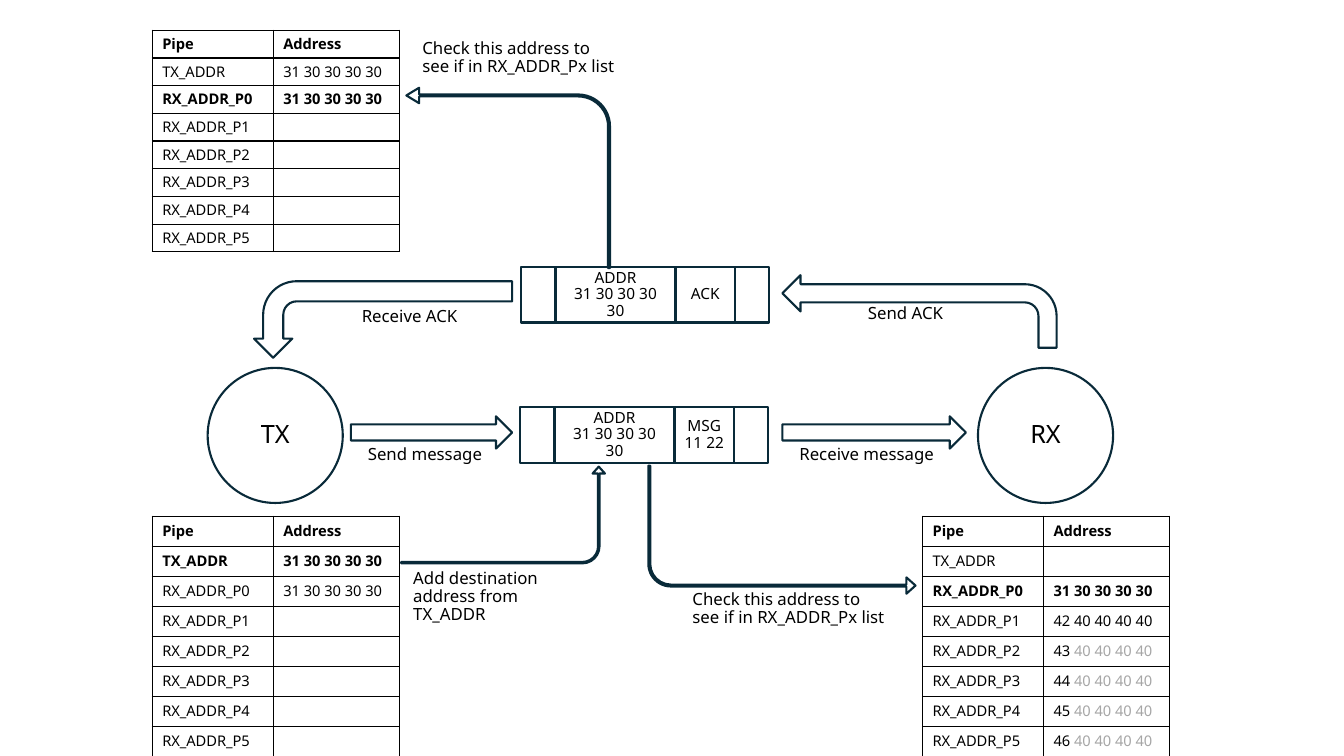
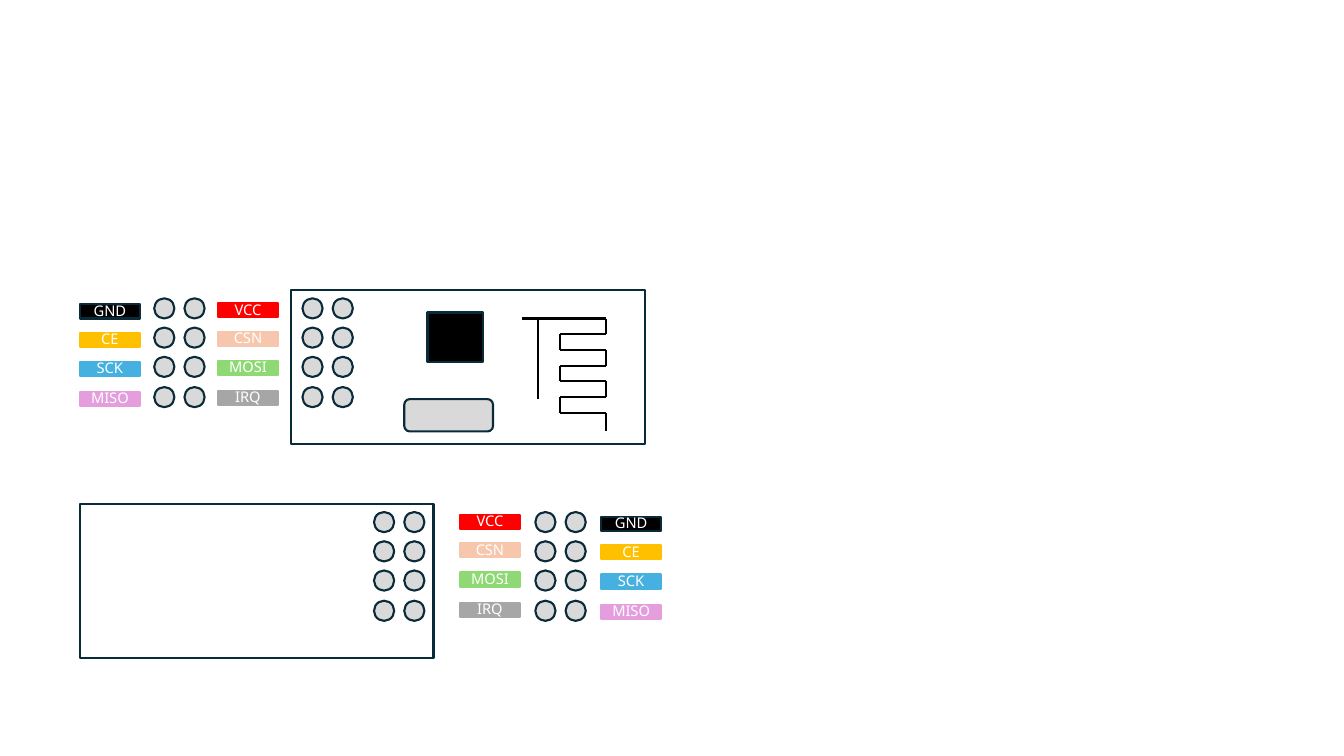
import itertools

import lxml.etree
import pptx
import pptx.dml.color
import pptx.enum.shapes
import pptx.enum.text
import pptx.oxml.ns
import pptx.util

RGB = pptx.dml.color.RGBColor
SHAPE = pptx.enum.shapes.MSO_SHAPE
ANCHOR = pptx.enum.text.MSO_ANCHOR
ALIGN = pptx.enum.text.PP_ALIGN
qn = pptx.oxml.ns.qn

INK = RGB(0x09, 0x2A, 0x39)
BLACK = RGB(0, 0, 0)
WHITE = RGB(0xFF, 0xFF, 0xFF)
SILVER = RGB(0xD9, 0xD9, 0xD9)
GREY = RGB(0xA6, 0xA6, 0xA6)
AMBER = RGB(0xFF, 0xC0, 0x00)
BLUE = RGB(0x46, 0xB1, 0xE1)
PINK = RGB(0xE5, 0x9E, 0xDD)
RED = RGB(0xFF, 0, 0)
PEACH = RGB(0xF6, 0xC6, 0xAD)
GREEN = RGB(0x8E, 0xD9, 0x73)

FONT = "Noto Sans"
LINE_SPACING = 0.88
EMU_PER_PX = 9144  # 100 px to the inch
SLIDE_SIZE = (1333, 750)

# Slide 1: address tables, packets and message flow
PIPES = ["TX_ADDR"] + [f"RX_ADDR_P{n}" for n in range(6)]
PIPE_COLUMNS = (120, 125)
ADDRESS = "31 30 30 30 30"
# left, top, height, bold pipe, addresses in pipe order ("|" starts grey text)
ADDRESS_TABLES = [
    (915, 512, 239, "RX_ADDR_P0",
     ["", ADDRESS, "42 40 40 40 40"] + [f"{n} |40 40 40 40" for n in range(43, 47)]),
    (151, 512, 239, "TX_ADDR", [ADDRESS, ADDRESS] + [""] * 5),
    (151, 30, 220, "RX_ADDR_P0", [ADDRESS, ADDRESS] + [""] * 5),
]
NODES = [("TX", 206), ("RX", 970)]
NODE_TOP, NODE_SIZE = 365, 134
PACKET_WIDTHS = (34, 119, 59, 34)
PACKET_HEIGHT = 55
PACKETS = [
    (516, 404, ("", f"ADDR\n{ADDRESS}", "MSG\n11 22", "")),
    (517, 265, ("", f"ADDR\n{ADDRESS}", "ACK", "")),
]
THIN_BEND = (0.015, 0.064, 0.071, 0.177)
# box, rotation, flip, adjustments
BENT_ARROWS = [
    ((342, 189, 76, 256), 90, "flipV", (0.263, 0.25, 0.25, 0.438)),
    ((451, 410, 96, 202), 270, "flipV", THIN_BEND),
    ((776, 273, 272, 72), 0, "flipH", (0.25, 0.25, 0.25, 0.438)),
    ((643, 462, 265, 127), 180, "flipH", THIN_BEND),
    ((403, 87, 202, 179), 180, "flipV", (0.011, 0.043, 0.071, 0.177)),
]
STRAIGHT_ARROWS = [(348, 413, 160, 32), (776, 413, 182, 32)]
CHECK = "Check this address to see if in RX_ADDR_Px list"
CAPTIONS = [
    ("Add destination address from TX_ADDR", (400, 561, 199, 50)),
    (CHECK, (677, 582, 214, 50)),
    (CHECK, (409, 35, 214, 50)),
    ("Receive message", (783, 438, 180, 30)),
    ("Receive ACK", (349, 301, 134, 30)),
    ("Send ACK", (851, 298, 134, 30)),
    ("Send message", (355, 438, 134, 30)),
]

# Slide 2: radio module, front and back
BOARD_SIZE = (351, 153)
BOARDS = [(289, 288), (79, 500)]
PIN_GRIDS = [(300, 296), (153, 296), (371, 508), (531, 508)]
PIN_SIZE, PIN_PITCH = 20, 30
PIN_ROWS = (0, 29, 58, 88)
LABEL_SIZE = (60, 14)
LABEL_ROWS = (0, 28, 57, 87)
OUTER_LABELS = [("GND", BLACK), ("CE", AMBER), ("SCK", BLUE), ("MISO", PINK)]
INNER_LABELS = [("VCC", RED), ("CSN", PEACH), ("MOSI", GREEN), ("IRQ", GREY)]
LABEL_COLUMNS = [
    (79, 302, OUTER_LABELS), (216, 301, INNER_LABELS),
    (596, 513, OUTER_LABELS), (456, 511, INNER_LABELS),
]
CRYSTAL = (401, 396, 88, 32)
CHIP = (424, 310, 55, 49)
ANTENNA_LEFT, ANTENNA_RIGHT = 555, 601
ANTENNA_START, ANTENNA_END = (518, 316), (601, 428)
ANTENNA_LEVELS = (316, 331, 347, 363, 378, 394, 410)
ANTENNA_STUB = ((534, 316), (534, 396))


def px(length):
    return pptx.util.Emu(round(length * EMU_PER_PX))


def scaled(box):
    return [px(length) for length in box]


def write(frame, text, size=12, color=BLACK, bold=False, align=ALIGN.LEFT,
          anchor=ANCHOR.TOP, margins=(10, 5)):
    """Fill a text frame; newlines split paragraphs, "|" starts grey text."""
    frame.word_wrap = True
    frame.vertical_anchor = anchor
    frame.margin_left = frame.margin_right = px(margins[0])
    frame.margin_top = frame.margin_bottom = px(margins[1])
    for index, line in enumerate(text.split("\n")):
        paragraph = frame.add_paragraph() if index else frame.paragraphs[0]
        paragraph.alignment = align
        paragraph.line_spacing = LINE_SPACING
        if not line:
            paragraph._p.get_or_add_endParaRPr().set("sz", str(round(size * 100)))
            continue
        for part, part_color in zip(line.split("|"), (color, GREY)):
            run = paragraph.add_run()
            run.text = part
            run.font.name = FONT
            run.font.size = pptx.util.Pt(size)
            run.font.bold = bold
            run.font.color.rgb = part_color


def add_outline(shapes, kind, box, fill=WHITE, line=INK):
    shape = shapes.add_shape(kind, *scaled(box))
    shape.shadow.inherit = False
    shape.fill.solid()
    shape.fill.fore_color.rgb = fill
    shape.line.color.rgb = line
    shape.line.width = pptx.util.Pt(1.5)
    return shape


def add_line(shapes, start, end):
    line = shapes.add_connector(pptx.enum.shapes.MSO_CONNECTOR.STRAIGHT,
                                *scaled(start + end))
    line.line.color.rgb = BLACK
    line.line.width = pptx.util.Pt(1.5)
    lxml.etree.SubElement(line._element.spPr, qn("a:effectLst"))


def border_cell(cell):
    properties = cell._tc.get_or_add_tcPr()
    for index, side in enumerate(("lnL", "lnR", "lnT", "lnB")):
        edge = lxml.etree.Element(qn(f"a:{side}"), w=str(pptx.util.Pt(1)))
        fill = lxml.etree.SubElement(edge, qn("a:solidFill"))
        lxml.etree.SubElement(fill, qn("a:srgbClr"), val=str(BLACK))
        properties.insert(index, edge)


def add_address_table(shapes, left, top, height, bold_pipe, addresses):
    rows = [("Pipe", "Address"), *zip(PIPES, addresses)]
    table = shapes.add_table(len(rows), len(PIPE_COLUMNS),
                             *scaled((left, top, sum(PIPE_COLUMNS), height))).table
    table.first_row = table.horz_banding = False
    for column, width in zip(table.columns, PIPE_COLUMNS):
        column.width = px(width)
    for r, row in enumerate(rows):
        table.rows[r].height = px(height / len(rows))
        for c, text in enumerate(row):
            cell = table.cell(r, c)
            cell.fill.background()
            border_cell(cell)
            write(cell.text_frame, text, size=10.5, bold=row[0] in ("Pipe", bold_pipe))
            cell.margin_left = cell.margin_right = px(10)
            cell.margin_top = cell.margin_bottom = px(3)
            cell.vertical_anchor = ANCHOR.MIDDLE


def add_packet(shapes, left, top, fields):
    packet = shapes.add_group_shape().shapes
    for text, width in zip(fields, PACKET_WIDTHS):
        field = add_outline(packet, SHAPE.RECTANGLE, (left, top, width, PACKET_HEIGHT))
        if text:
            write(field.text_frame, text, size=11, align=ALIGN.CENTER, anchor=ANCHOR.MIDDLE)
        left += width


def build_flow(shapes):
    for name, left in NODES:
        node = add_outline(shapes, SHAPE.OVAL, (left, NODE_TOP, NODE_SIZE, NODE_SIZE))
        write(node.text_frame, name, size=18, align=ALIGN.CENTER, anchor=ANCHOR.MIDDLE)
    for address_table in ADDRESS_TABLES:
        add_address_table(shapes, *address_table)
    for packet in PACKETS:
        add_packet(shapes, *packet)
    for box, rotation, flip, adjustments in BENT_ARROWS:
        arrow = add_outline(shapes, SHAPE.BENT_ARROW, box)
        arrow.rotation = rotation
        arrow._element.spPr.xfrm.set(flip, "1")
        for index, value in enumerate(adjustments):
            arrow.adjustments[index] = value
    for box in STRAIGHT_ARROWS:
        add_outline(shapes, SHAPE.RIGHT_ARROW, box)
    for text, box in CAPTIONS:
        write(shapes.add_textbox(*scaled(box)).text_frame, text)


def add_antenna(shapes):
    corners = [ANTENNA_START]
    sides = itertools.cycle([(ANTENNA_RIGHT, ANTENNA_LEFT), (ANTENNA_LEFT, ANTENNA_RIGHT)])
    for level, (near, far) in zip(ANTENNA_LEVELS, sides):
        if level != ANTENNA_LEVELS[0]:
            corners.append((far, level))
        corners.append((near, level))
    corners.append(ANTENNA_END)
    for start, end in itertools.pairwise(corners):
        add_line(shapes, start, end)
    add_line(shapes, *ANTENNA_STUB)


def build_module(shapes):
    for corner in BOARDS:
        add_outline(shapes, SHAPE.RECTANGLE, corner + BOARD_SIZE)
    add_outline(shapes, SHAPE.ROUNDED_RECTANGLE, CRYSTAL, fill=SILVER)
    add_outline(shapes, SHAPE.RECTANGLE, CHIP, fill=BLACK)
    add_antenna(shapes)
    for left, top in PIN_GRIDS:
        for row, column in itertools.product(PIN_ROWS, range(2)):
            add_outline(shapes, SHAPE.OVAL,
                        (left + column * PIN_PITCH, top + row, PIN_SIZE, PIN_SIZE),
                        fill=SILVER)
    for left, top, labels in LABEL_COLUMNS:
        for (name, color), row in zip(labels, LABEL_ROWS):
            label = add_outline(shapes, SHAPE.RECTANGLE, (left, top + row) + LABEL_SIZE,
                                fill=color, line=INK if color == BLACK else color)
            write(label.text_frame, name, size=10.5, color=WHITE, align=ALIGN.CENTER,
                  anchor=ANCHOR.MIDDLE, margins=(0, 0))


def main():
    deck = pptx.Presentation()
    deck.slide_width, deck.slide_height = scaled(SLIDE_SIZE)
    blank = deck.slide_layouts[6]
    for build in (build_flow, build_module):
        build(deck.slides.add_slide(blank).shapes)
    deck.save("out.pptx")


if __name__ == "__main__":
    main()
